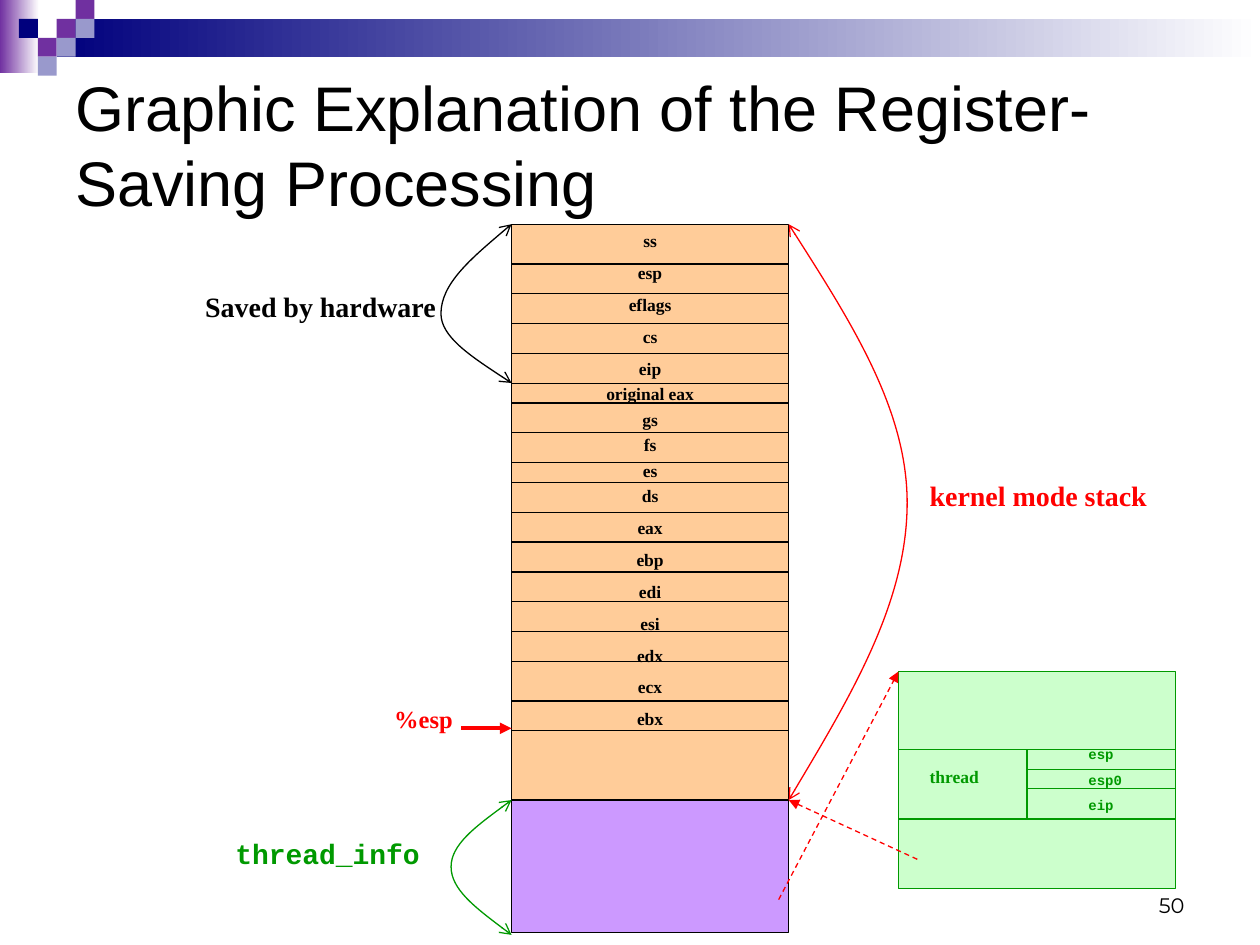
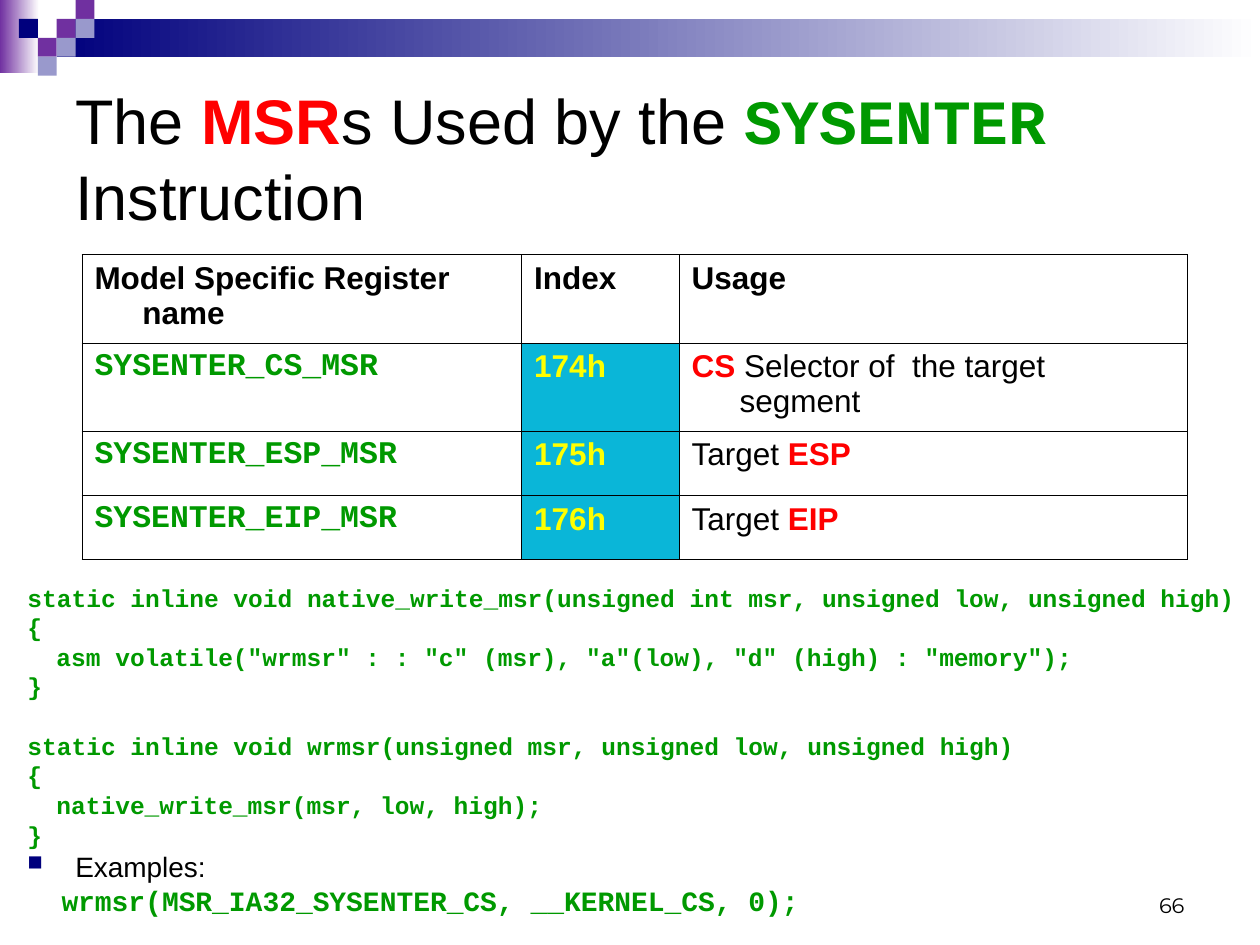
"""Build two slides on saving registers and the SYSENTER instruction."""
import itertools

import lxml.etree
import pptx
import pptx.dml.color
import pptx.enum.dml
import pptx.enum.shapes
import pptx.enum.text
import pptx.oxml.ns
import pptx.util

Inches = pptx.util.Inches
Pt = pptx.util.Pt
qn = pptx.oxml.ns.qn
ALIGN = pptx.enum.text.PP_ALIGN
ANCHOR = pptx.enum.text.MSO_ANCHOR

HUES = {
    "black": "000000", "white": "FFFFFF", "red": "FF0000", "green": "009900",
    "yellow": "FFFF00", "navy": "00007D", "plum": "7030A0", "lilac": "9999CC",
    "peach": "FFCC99", "violet": "CC99FF", "mint": "CCFFCC", "cyan": "0AB6D8",
}
SANS, SERIF, MONO = "Arial", "Times New Roman", "Courier New"

STACK = [
    ("ss", 4), ("esp", 3), ("eflags", 3), ("cs", 3), ("eip", 3),
    ("original eax", 2), ("gs", 3), ("fs", 3), ("es", 2), ("ds", 3),
    ("eax", 3), ("ebp", 3), ("edi", 3), ("esi", 3), ("edx", 3),
    ("ecx", 4), ("ebx", 3),
]
TIGHT = ("original eax", "gs", "fs", "es", "ds")
CODE = [
    ("static inline void native_write_msr(unsigned int msr, unsigned low, unsigned high)", 0, 3.5),
    ("{", 0, 3.5),
    ('asm volatile("wrmsr" : : "c" (msr), "a"(low), "d" (high) : "memory");', 0.23, 3.5),
    ("}", 0, 3.5),
    ("static inline void wrmsr(unsigned msr, unsigned low, unsigned high)", 0, 20.4),
    ("{", 0, 3.5),
    ("native_write_msr(msr, low, high);", 0.23, 3.5),
    ("}", 0, 3.5),
]


def tone(name):
    """Return the named colour."""
    return pptx.dml.color.RGBColor.from_string(HUES[name])


def sub(node, tag, **attrs):
    """Append a child element to an XML node."""
    return lxml.etree.SubElement(node, qn(tag), attrs)


def style(font, size, face, hue, bold=False):
    """Set size, face, colour and weight of a font."""
    font.size, font.name, font.bold = Pt(size), face, bold
    font.color.rgb = tone(hue)


def write(par, *parts, before=0, align=None):
    """Fill a paragraph with parts of (text, size, face, hue, bold)."""
    par.space_before = Pt(before)
    if align is not None:
        par.alignment = align
    for text, *look in parts:
        run = par.add_run()
        run.text = text
        style(par.font if len(parts) == 1 else run.font, *look)


def indent(par, left, first):
    """Set left margin and first-line indent of a paragraph."""
    props = par._p.get_or_add_pPr()
    props.set("marL", str(Inches(left)))
    props.set("indent", str(Inches(first)))
    return props


def pars(frame):
    """Yield the first paragraph of a frame, then new ones."""
    yield frame.paragraphs[0]
    while True:
        yield frame.add_paragraph()


def box(slide, left, top, width, height, anchor=ANCHOR.TOP):
    """Add a text box and return its frame."""
    area = map(Inches, (left, top, width, height))
    frame = slide.shapes.add_textbox(*area).text_frame
    frame.word_wrap, frame.vertical_anchor = True, anchor
    return frame


def label(slide, area, part, before):
    """Add a one-line label."""
    write(box(slide, *area).paragraphs[0], part, before=before)


def rect(slide, left, top, width, height, fill, edge=None):
    """Add a rectangle; a pair of fills makes a gradient."""
    kind = pptx.enum.shapes.MSO_SHAPE.RECTANGLE
    shape = slide.shapes.add_shape(kind, *map(Inches, (left, top, width, height)))
    shape.shadow.inherit = False
    if isinstance(fill, tuple):
        shape.fill.gradient()
        shape.fill.gradient_angle = 0
        for stop, hue in zip(shape.fill.gradient_stops, fill):
            stop.color.rgb = tone(hue)
    else:
        shape.fill.solid()
        shape.fill.fore_color.rgb = tone(fill)
    if edge:
        shape.line.color.rgb = tone(edge)
        shape.line.width = Pt(0.75)
    else:
        shape.line.fill.background()
    return shape


def stroke(shape, hue, width=0.75, dash=False, head=None, tail=None):
    """Set the outline and arrowheads of a line or curve."""
    shape.line.color.rgb = tone(hue)
    shape.line.width = Pt(width)
    if dash:
        shape.line.dash_style = pptx.enum.dml.MSO_LINE.DASH
    line = shape._element.spPr.find(qn("a:ln"))
    for tag, kind in (("a:headEnd", head), ("a:tailEnd", tail)):
        if kind:
            sub(line, tag, type=kind)


def link(slide, x1, y1, x2, y2, hue, **look):
    """Add a straight line or arrow."""
    kind = pptx.enum.shapes.MSO_CONNECTOR.STRAIGHT
    line = slide.shapes.add_connector(kind, *map(Inches, (x1, y1, x2, y2)))
    stroke(line, hue, **look)
    sub(line._element.spPr, "a:effectLst")


def brace(slide, side, top, bulge, mid, low, hue):
    """Add a curve from top to low that swells to the bulge."""
    half = (side + bulge) / 2
    spots = [
        (half, top + (mid - top) / 3), (bulge, top + (mid - top) * 2 / 3), (bulge, mid),
        (bulge, mid + (low - mid) / 3), (half, mid + (low - mid) * 2 / 3), (side, low),
    ]
    pen = slide.shapes.build_freeform(Inches(side), Inches(top))
    pen.add_line_segments([(Inches(x), Inches(y)) for x, y in spots], close=False)
    curve = pen.convert_to_shape()
    curve.shadow.inherit = False
    curve.fill.background()
    stroke(curve, hue, head="arrow", tail="arrow")
    route = next(curve._element.iter(qn("a:path")))
    steps = route.findall(qn("a:lnTo"))
    for group in (steps[:3], steps[3:]):
        bend = sub(route, "a:cubicBezTo")
        for step in group:
            bend.append(step[0])
            route.remove(step)


def start(deck, page, high, *title):
    """Add a slide with bands, page number and title."""
    slide = deck.slides.add_slide(deck.slide_layouts[6])
    rect(slide, 0, 0, 0.31, 0.58, ("plum", "white"))
    rect(slide, 0.45, 0.15, 9.55, 0.3, ("navy", "white"))
    for col, row, hue in (
        (3, 1, "plum"), (4, 0, "plum"), (4, 1, "lilac"), (2, 2, "plum"),
        (1, 1, "navy"), (3, 2, "lilac"), (2, 3, "lilac"),
    ):
        rect(slide, col * 0.15, row * 0.15, 0.15, 0.15, hue)
    foot = box(slide, 7.17, 6.83, 2.33, 0.5, ANCHOR.BOTTOM)
    write(foot.paragraphs[0], (page, 12, "Montserrat", "black"), align=ALIGN.RIGHT)
    write(box(slide, 0.5, 0.5, 9, high, ANCHOR.MIDDLE).paragraphs[0], *title)
    return slide


def stack(slide, left, top, right):
    """Draw the kernel stack with its saved registers."""
    wide = right - left
    pile = rect(slide, left, top, wide, 5.08, "peach", "black")
    frame = pile.text_frame
    frame.word_wrap, frame.vertical_anchor = True, ANCHOR.TOP
    for (name, _), par in zip(STACK, pars(frame)):
        write(par, (name, 10, SERIF, "black", True),
              before=2.5 if name in TIGHT else 6.2, align=ALIGN.CENTER)
    rect(slide, left, 6.35, wide, 1.05, "violet", "black")
    sums = list(itertools.accumulate(units for _, units in STACK))
    for total in sums:
        row = top + (5.8 - top) * total / sums[-1]
        link(slide, left, row, right, row, "black")


def panel(slide, left, right):
    """Draw the process descriptor with its thread field."""
    rect(slide, left, 5.33, right - left, 1.72, "mint", "green")
    frame = box(slide, 8.54, 5.87, 0.63, 0.64)
    for name, par in zip(("esp", "esp0", "eip"), pars(frame)):
        write(par, (name, 8, MONO, "green", True), before=5)
    split = 8.15
    for x, y in ((left, 5.95), (left, 6.5), (split, 6.11), (split, 6.26)):
        link(slide, x, y, right, y, "green")
    link(slide, split, 5.95, split, 6.5, "green")
    label(slide, (7.28, 6.03, 0.71, 0.27), ("thread", 10, SERIF, "green", True), 6.2)


def saving(deck):
    """Build the slide on register saving."""
    slide = start(deck, "50", 1.28, (
        "Graphic Explanation of the Register-Saving Processing", 36, SANS, "black"))
    left, top, right = 4.06, 1.78, 6.26
    stack(slide, left, top, right)
    label(slide, (7.28, 3.75, 2.05, 0.37), ("kernel mode stack", 16, SERIF, "red", True), 10)
    label(slide, (1.77, 6.59, 1.73, 0.37), ("thread_info", 16, MONO, "green", True), 10)
    label(slide, (3.03, 5.54, 0.75, 0.34), ("%esp", 14, SERIF, "red", True), 3.5)
    label(slide, (1.53, 2.25, 2.05, 0.37), ("Saved by hardware", 16, SERIF, "black", True), 10)
    link(slide, 3.66, 5.78, left, 5.78, "red", width=2.25, tail="triangle")
    brace(slide, right, top, 7.2, 3.99, 6.35, "red")
    brace(slide, left, 6.35, 3.58, 6.88, 7.42, "green")
    brace(slide, left, top, 3.5, 2.49, 3.04, "black")
    panel(slide, 7.13, 9.33)
    link(slide, 6.18, 7.14, 7.13, 5.33, "red", dash=True, tail="triangle")
    link(slide, 7.28, 6.82, right, 6.35, "red", dash=True, tail="triangle")


def edges(cell):
    """Give a cell thin black borders."""
    props = cell._tc.get_or_add_tcPr()
    for side in "LRTB":
        line = sub(props, "a:ln" + side, w=str(Pt(0.34)))
        sub(sub(line, "a:solidFill"), "a:srgbClr", val=HUES["black"])


def grid(slide):
    """Add the table of model specific registers."""
    def plain(text):
        """Return a regular table part."""
        return text, 18, SANS, "black"

    def strong(text, hue="black", face=SANS):
        """Return a bold table part."""
        return text, 18, face, hue, True

    rows = [[[strong(text)] for text in ("Model Specific Register name", "Index", "Usage")]]
    for name, index, usage in (
        ("CS", "174h", [strong("CS", "red"), plain(" Selector of  the target segment")]),
        ("ESP", "175h", [plain("Target "), strong("ESP", "red")]),
        ("EIP", "176h", [plain("Target "), strong("EIP", "red")]),
    ):
        rows.append([[strong(f"SYSENTER_{name}_MSR", "green", MONO)],
                     [strong(index, "yellow")], usage])
    area = map(Inches, (0.65, 2.02, 8.77, 2.42))
    table = slide.shapes.add_table(4, 3, *area).table
    table.first_row = table.horz_banding = False
    for col, wide in zip(table.columns, (3.49, 1.25, 4.03)):
        col.width = Inches(wide)
    for line, high in zip(table.rows, (0.7, 0.7, 0.51, 0.51)):
        line.height = Inches(high)
    for r, c in itertools.product(range(4), range(3)):
        cell = table.cell(r, c)
        edges(cell)
        if r and c == 1:
            cell.fill.solid()
            cell.fill.fore_color.rgb = tone("cyan")
        else:
            cell.fill.background()
        par = cell.text_frame.paragraphs[0]
        indent(par, 0.38, -0.38)
        write(par, *rows[r][c])


def code(slide):
    """Add the code listing and its example."""
    frame = box(slide, 0.12, 4.62, 9.84, 2.73)
    add = pars(frame)
    for text, left, before in CODE:
        par = next(add)
        indent(par, left, 0)
        write(par, (text, 14, MONO, "green", True), before=before)
    par = next(add)
    props = indent(par, 0.38, -0.38)
    sub(sub(props, "a:buClr"), "a:srgbClr", val=HUES["navy"])
    sub(props, "a:buSzPct", val="75000")
    sub(props, "a:buChar", char="■")
    write(par, ("Examples:", 16, SANS, "black"), before=4)
    par = next(add)
    indent(par, 0.27, 0)
    write(par, ("wrmsr(MSR_IA32_SYSENTER_CS, __KERNEL_CS, 0);", 16, MONO, "green", True), before=4)
    for par in frame.paragraphs:
        par.line_spacing = 0.8


def entry(deck):
    """Build the slide on the SYSENTER registers."""
    slide = start(
        deck, "66", 1.5, ("The ", 36, SANS, "black"), ("MSR", 36, SANS, "red", True),
        ("s Used by the ", 36, SANS, "black"), ("SYSENTER", 36, MONO, "green", True),
        (" Instruction", 36, SANS, "black"))
    code(slide)
    grid(slide)


def main():
    """Build and save the deck."""
    deck = pptx.Presentation()
    deck.slide_width, deck.slide_height = Inches(10), Inches(7.5)
    saving(deck)
    entry(deck)
    deck.save("out.pptx")


if __name__ == "__main__":
    main()
